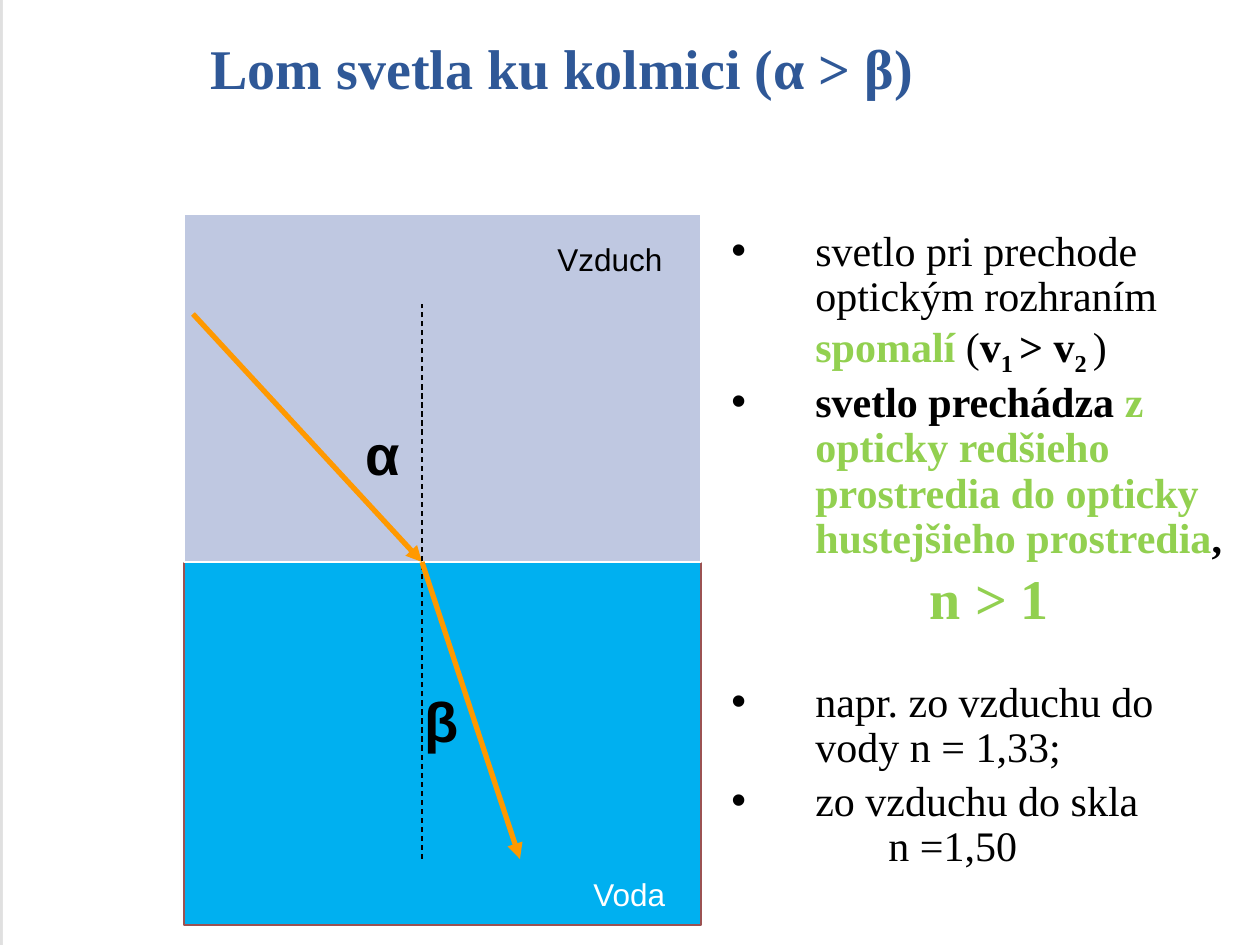
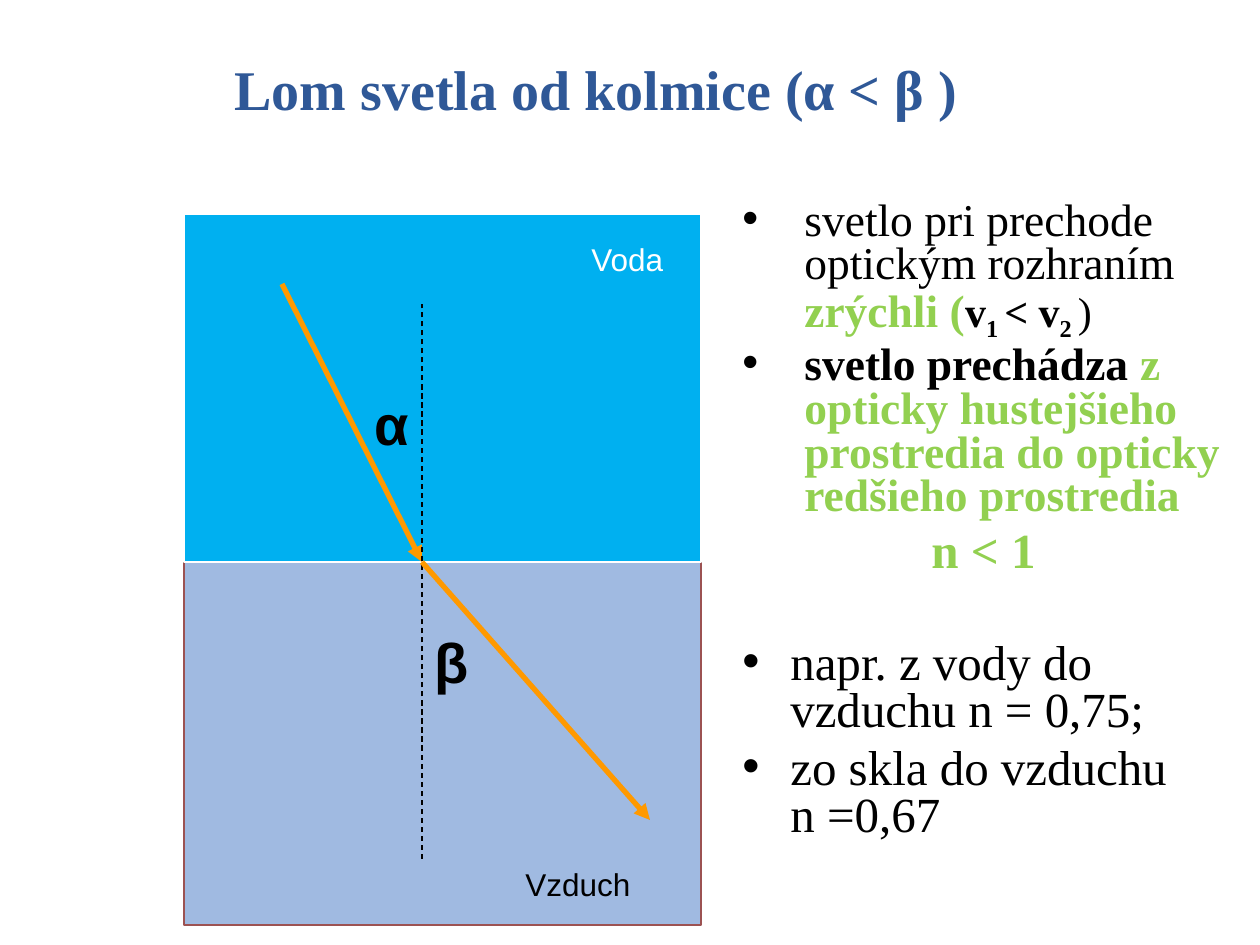
from lxml import etree
from pptx import Presentation
from pptx import util as u
from pptx.dml.color import RGBColor
from pptx.enum import dml, shapes, text
from pptx.oxml import ns

PX = 914400 / 126
WHITE = RGBColor(0xFF, 0xFF, 0xFF)
BLACK = RGBColor(0, 0, 0)
EDGE_GREY = RGBColor(0xE0, 0xE0, 0xE0)
TITLE_BLUE = RGBColor(0x2F, 0x58, 0x97)
GREEN = RGBColor(0x92, 0xD0, 0x50)
WATER = RGBColor(0x00, 0xB0, 0xF0)
AIR_ABOVE = RGBColor(0xBF, 0xC8, 0xE1)
AIR_BELOW = RGBColor(0xA0, 0xBA, 0xE1)
RAY_ORANGE = RGBColor(0xFF, 0x99, 0x00)
BORDER_RED = RGBColor(0x9C, 0x52, 0x52)
SERIF, SANS = "Times New Roman", "Arial"
STYLES = {
    "plain": (BLACK, False, None),
    "bold": (BLACK, True, None),
    "sub": (BLACK, True, "-25000"),
    "green": (GREEN, True, None),
}
INTERFACE = (422, 562)

SLIDES = [
    {
        "title": ("Lom svetla ku kolmici (α > β)", 198, 26),
        "veil_left": 3,
        "media": (AIR_ABOVE, WATER),
        "rays": ((193, 314), (520, 859)),
        "angles": (("α", 353, 413), ("β", 412, 680)),
        "labels": (("Vzduch", BLACK, 545, 234), ("Voda", WHITE, 581, 869)),
        "body": (719, 224, 541, 675),
        "spacing": 0.9,
        "paragraphs": [
            (84, True, 0, [("svetlo pri prechode optickým rozhraním ", "plain", 24), ("spomalí", "green", 24),
                           (" (", "plain", 24), ("v", "bold", 24), ("1 ", "sub", 24), ("> v", "bold", 24),
                           ("2 ", "sub", 24), (")", "plain", 24)]),
            (84, True, 5, [("svetlo prechádza ", "bold", 24),
                           ("z opticky redšieho prostredia do opticky hustejšieho prostredia", "green", 24),
                           (",", "bold", 24)]),
            (0, False, 5, [("n > 1", "green", 32)]),
            (84, True, 28, [("napr. zo vzduchu do vody n = 1,33;", "plain", 24)]),
            (84, True, 5, [("zo vzduchu do skla", "plain", 24)]),
            (157, False, 0, [("n =1,50", "plain", 24)]),
        ],
    },
    {
        "title": ("Lom svetla od kolmice (α < β )", 222, 47),
        "veil_left": 0,
        "media": (WATER, AIR_BELOW),
        "rays": ((282, 284), (650, 820)),
        "angles": (("α", 362, 383), ("β", 422, 621)),
        "labels": (("Voda", WHITE, 579, 234), ("Vzduch", BLACK, 513, 859)),
        "body": (730, 195, 507, 694),
        "spacing": 0.8,
        "paragraphs": [
            (62, True, 0, [("svetlo pri prechode optickým rozhraním ", "plain", 26), ("zrýchli (", "green", 26),
                           ("v", "bold", 24), ("1 ", "sub", 24), ("< v", "bold", 24),
                           ("2 ", "sub", 24), (")", "plain", 24)]),
            (62, True, 5, [("svetlo prechádza ", "bold", 26),
                           ("z opticky hustejšieho prostredia do opticky redšieho prostredia", "green", 26)]),
            (0, False, 6, [("n < 1", "green", 28)]),
            (48, True, 37, [("napr. z vody do vzduchu n = 0,75;", "plain", 28)]),
            (48, True, 6, [("zo skla do vzduchu", "plain", 28)]),
            (48, False, 0, [("n =0,67", "plain", 28)]),
        ],
    },
]


def box(*lengths):
    return [round(length * PX) for length in lengths]


def style_font(font, name, size, color, bold):
    font.name = name
    font.size = u.Pt(size)
    font.color.rgb = color
    font.bold = bold


presentation = Presentation()
presentation.slide_width, presentation.slide_height = box(1260, 945)

for content in SLIDES:
    slide = presentation.slides.add_slide(presentation.slide_layouts[5])
    slide.background.fill.solid()
    slide.background.fill.fore_color.rgb = EDGE_GREY

    title = slide.shapes.title
    words, left, top = content["title"]
    title.left, title.top, title.width, title.height = box(left, top, 900, 82)
    title.text_frame.text = words
    title.text_frame.auto_size = text.MSO_AUTO_SIZE.NONE
    title.text_frame.vertical_anchor = text.MSO_ANCHOR.MIDDLE
    title.text_frame.paragraphs[0].alignment = text.PP_ALIGN.LEFT
    style_font(title.text_frame.paragraphs[0].runs[0].font, SERIF, 32, TITLE_BLUE, True)

    above, below = content["media"]
    rectangles = [
        (content["veil_left"], 0, 1260, 945, WHITE, None),
        (184, 552, 517, 373, below, BORDER_RED),
        (184, 214, 517, 348, above, WHITE),
    ]
    for left, top, width, height, fill, border in rectangles:
        rectangle = slide.shapes.add_shape(shapes.MSO_SHAPE.RECTANGLE, *box(left, top, width, height))
        rectangle.shadow.inherit = False
        rectangle.fill.solid()
        rectangle.fill.fore_color.rgb = fill
        if border is None:
            rectangle.line.fill.background()
            title.element.addprevious(rectangle.element)
        else:
            rectangle.line.color.rgb = border
            rectangle.line.width = u.Pt(0.75)

    incoming, refracted = content["rays"]
    lines = [
        (incoming, INTERFACE, RAY_ORANGE, 3),
        ((422, 859), (422, 304), BLACK, 0.75),
        (INTERFACE, refracted, RAY_ORANGE, 3),
    ]
    for start, end, color, weight in lines:
        line = slide.shapes.add_connector(shapes.MSO_CONNECTOR.STRAIGHT, *box(*start, *end))
        line.line.color.rgb = color
        line.line.width = u.Pt(weight)
        if color == RAY_ORANGE:
            etree.SubElement(line.line._get_or_add_ln(), ns.qn("a:tailEnd"), type="triangle")
        else:
            line.line.dash_style = dml.MSO_LINE.DASH
        etree.SubElement(line.element.spPr, ns.qn("a:effectLst"))

    captions = [(words, BLACK, left, top, 80, 79, 32, True) for words, left, top in content["angles"]]
    captions += [(*label, 150, 50, 18, False) for label in content["labels"]]
    for words, color, left, top, width, height, size, bold in captions:
        caption = slide.shapes.add_textbox(*box(left, top, width, height))
        caption.text_frame.word_wrap = True
        caption.text_frame.text = words
        style_font(caption.text_frame.paragraphs[0].runs[0].font, SANS, size, color, bold)

    body = slide.shapes.add_textbox(*box(*content["body"]))
    body.text_frame.word_wrap = True
    for index, (indent, bulleted, before, runs) in enumerate(content["paragraphs"]):
        paragraph = body.text_frame.paragraphs[0] if index == 0 else body.text_frame.add_paragraph()
        paragraph.line_spacing = content["spacing"]
        paragraph.space_before = u.Pt(before)
        paragraph.alignment = text.PP_ALIGN.LEFT if indent else text.PP_ALIGN.CENTER
        properties = paragraph._p.get_or_add_pPr()
        margin = str(round(indent * PX))
        properties.set("marL", margin)
        properties.set("indent", f"-{margin}" if bulleted else "0")
        if bulleted:
            etree.SubElement(properties, ns.qn("a:buFont"), typeface=SANS)
            etree.SubElement(properties, ns.qn("a:buChar"), char="•")
        for words, style, size in runs:
            color, bold, baseline = STYLES[style]
            run = paragraph.add_run()
            run.text = words
            style_font(run.font, SERIF, size, color, bold)
            if baseline:
                run._r.get_or_add_rPr().set("baseline", baseline)

presentation.save("out.pptx")
